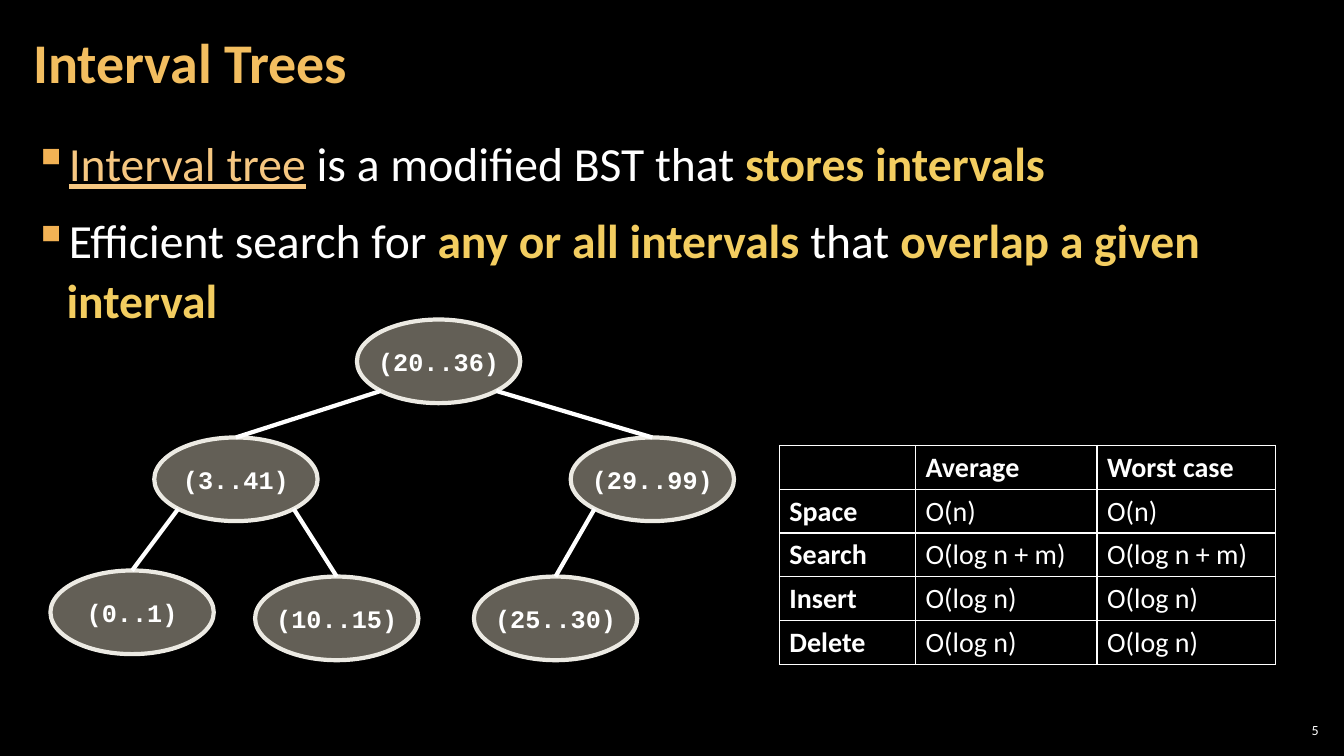
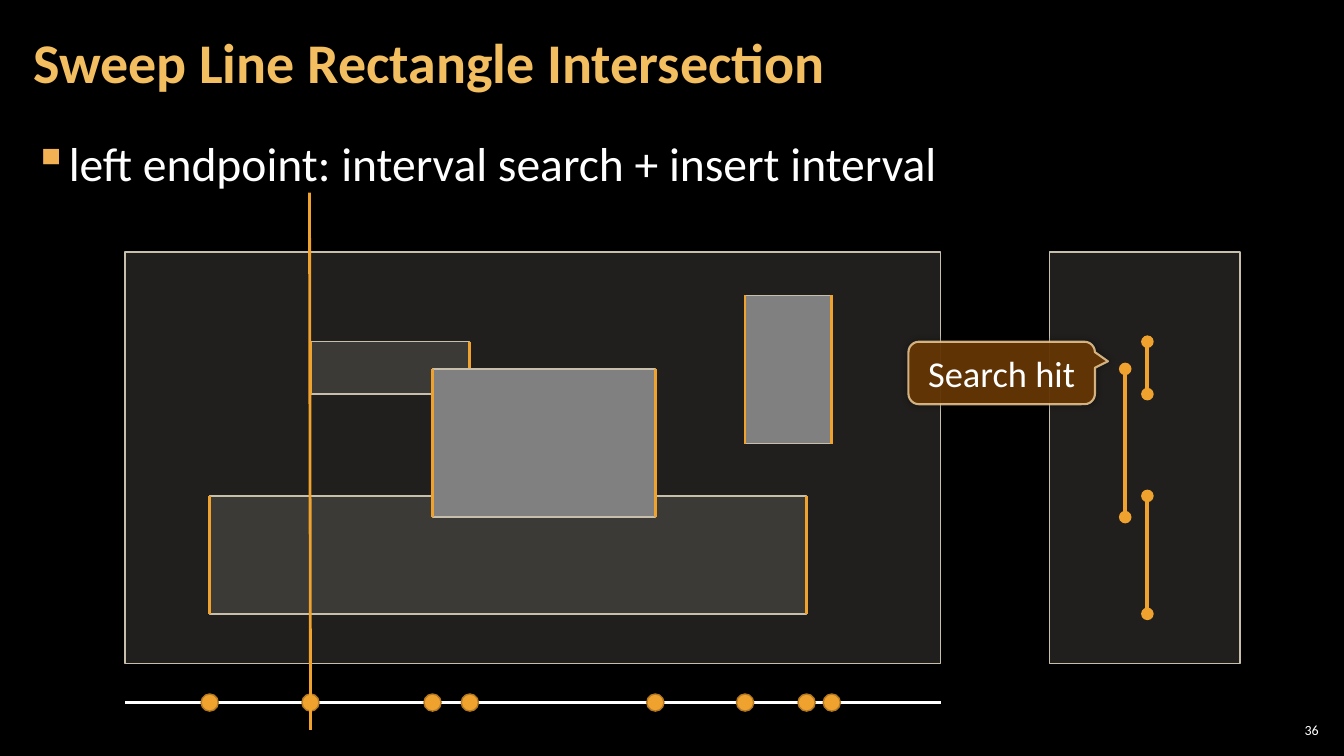
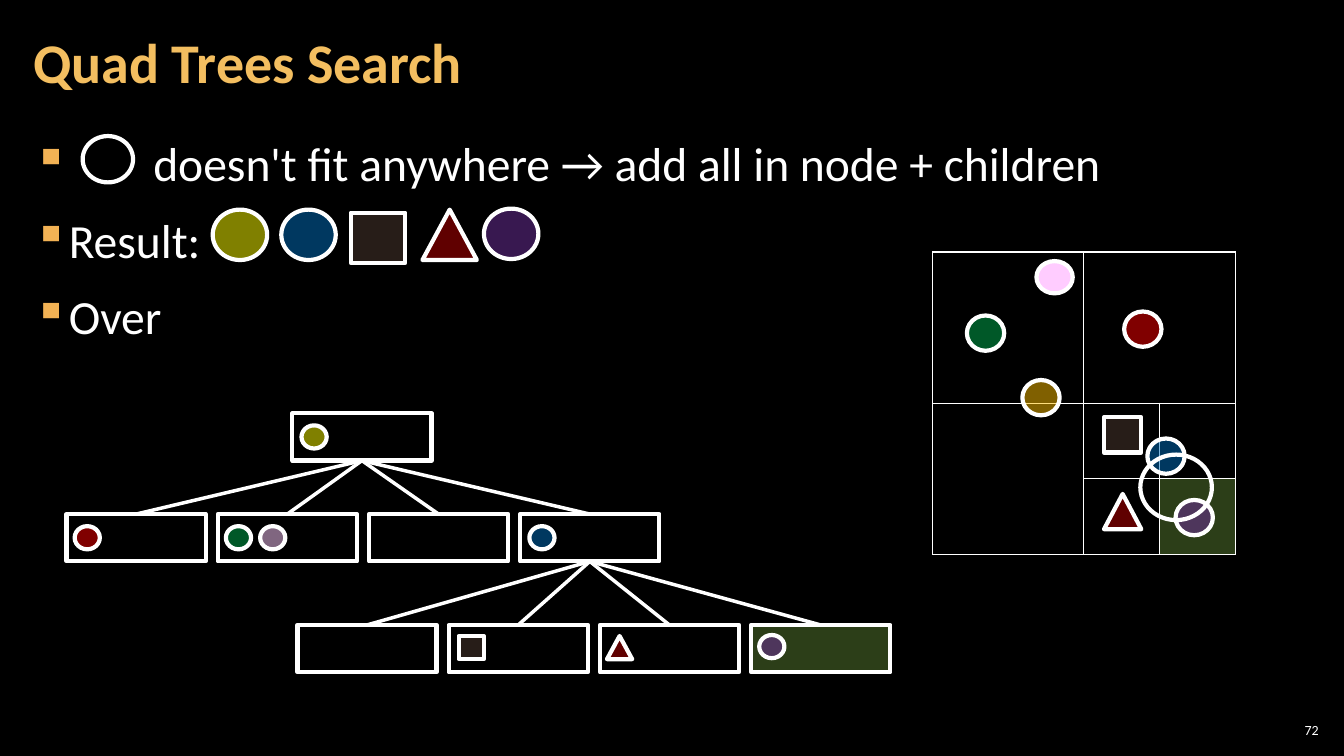
from math import sqrt

from lxml.etree import SubElement
from pptx import Presentation
from pptx.dml.color import RGBColor
from pptx.enum.shapes import MSO_CONNECTOR, MSO_SHAPE
from pptx.enum.text import MSO_ANCHOR, PP_ALIGN
from pptx.oxml.ns import qn
from pptx.util import Inches, Pt

# Shared look
WHITE, ORANGE, SAND = "FFFFFF", "F0A22E", "C7BFAC"
LINE, RECT, OVAL = MSO_CONNECTOR.STRAIGHT, MSO_SHAPE.RECTANGLE, MSO_SHAPE.OVAL
STYLES = {
    "title": ("F3BE60", {"size": Pt(40), "bold": True}),
    "body": (WHITE, {"size": Pt(34)}),
    "strong": ("F3CD60", {"size": Pt(34), "bold": True}),
    "link": ("F6C781", {"size": Pt(34), "underline": True}),
    "number": (WHITE, {"size": Pt(10)}),
    "head": (WHITE, {"size": Pt(20), "bold": True}),
    "cell": (WHITE, {"size": Pt(20)}),
    "node": (WHITE, {"size": Pt(18), "bold": True, "name": "Courier New"}),
    "callout": (WHITE, {"size": Pt(26)}),
}
BOXES = {
    "number": ((12.65, 7.14, 0.47, 0.21), 0.04, MSO_ANCHOR.MIDDLE,
               {"alignment": PP_ALIGN.RIGHT}),
    "body": ((0.21, 1.26, 12.91, 6.09), 0.12, MSO_ANCHOR.TOP,
             {"line_spacing": 1.05, "space_after": Pt(6)}),
    "title": ((0.21, 0.04, 10.47, 1.21), 0.12, MSO_ANCHOR.MIDDLE,
              {"line_spacing": 0.9}),
}


def paint(fill, colour, owner=None, alpha=100):
    """Solid colour; owner is the XML element that holds the fill."""
    fill.solid()
    fill.fore_color.rgb = RGBColor.from_string(colour)
    if alpha < 100:
        tint = owner.find(f"{qn('a:solidFill')}/{qn('a:srgbClr')}")
        SubElement(tint, qn("a:alpha"), val=str(alpha * 1000))


def draw(page, kind, at, fill=None, alpha=100, line=WHITE, width=3):
    """Shape at (left, top, width, height) or line from (x, y) to (x, y)."""
    lengths = [Inches(value) for value in at]
    if kind is LINE:
        item = page.shapes.add_connector(kind, *lengths)
        SubElement(item.element.spPr, qn("a:effectLst"))
    else:
        item = page.shapes.add_shape(kind, *lengths)
        item.shadow.inherit = False
        if fill:
            paint(item.fill, fill, item.element.spPr, alpha)
        else:
            item.fill.background()
    paint(item.line.fill, line)
    item.line.width = Pt(width)
    return item


deck = Presentation()
deck.slide_width, deck.slide_height = Inches(13.33), Inches(7.5)
texts = []  # (paragraph, wording, style), written at the end

# Pages: title, number, bullets as (indent, runs)
CONTENT = [
    ("Interval Trees", "5", [
        (0.33, [("Interval tree", "link"), (" is a modified BST that ", "body"),
                ("stores intervals", "strong")]),
        (0.33, [("Efficient search for ", "body"), ("any or all intervals", "strong"),
                (" that ", "body"), ("overlap a given interval", "strong")])]),
    ("Sweep Line Rectangle Intersection", "36", [
        (0.33, [("left endpoint: interval search + insert interval", "body")])]),
    ("Quad Trees Search", "72", [
        (1.19, [("doesn't fit anywhere → add all in node + children", "body")]),
        (0.33, [("Result:", "body")]),
        (0.33, [("Over", "body")])]),
]
for title, number, bullets in CONTENT:
    page = deck.slides.add_slide(deck.slide_layouts[6])
    paint(page.background.fill, "000000")
    entries = {"number": [(0, [(number, "number")])], "body": bullets,
               "title": [(0, [(title, "title")])]}
    for role, (at, side, anchor, layout) in BOXES.items():
        frame = page.shapes.add_textbox(*map(Inches, at)).text_frame
        settings = {"word_wrap": True, "vertical_anchor": anchor,
                    "margin_left": Inches(side), "margin_right": Inches(side),
                    "margin_top": Inches(0.04), "margin_bottom": Inches(0.04)}
        for name, value in settings.items():
            setattr(frame, name, value)
        for index, (indent, runs) in enumerate(entries[role]):
            para = frame.add_paragraph() if index else frame.paragraphs[0]
            for name, value in layout.items():
                setattr(para, name, value)
            if role == "body":
                if index:
                    para.space_before = Pt(6)
                props = para._p.get_or_add_pPr()
                props.set("marL", str(Inches(indent)))
                props.set("indent", str(-Inches(indent)))
                bullet_colour = SubElement(props, qn("a:buClr"))
                SubElement(bullet_colour, qn("a:srgbClr"), val="F2B254")
                SubElement(props, qn("a:buChar"), char="▪")
            texts += [(para, wording, style) for wording, style in runs]
tree_page, sweep_page, quad_page = deck.slides

# Tables: cost of operations, and the quadrant grid
COSTS = [["", "Average", "Worst case"]] + [
    [name, cost, cost] for name, cost in [
        ("Space", "O(n)"), ("Search", "O(log n + m)"),
        ("Insert", "O(log n)"), ("Delete", "O(log n)")]]
TABLES = [
    (tree_page, (7.73, 4.42), [1.35, 1.8, 1.77], [0.41] * 5, COSTS, [], None),
    (quad_page, (9.25, 2.5), [1.5, 0.75, 0.75], [1.5, 0.75, 0.75], [[""] * 3] * 3,
     [((0, 1), (0, 2)), ((1, 0), (2, 0))], (2, 2)),
]
for page, (left, top), widths, heights, rows, merges, marked in TABLES:
    frame = page.shapes.add_table(
        len(heights), len(widths), Inches(left), Inches(top),
        Inches(sum(widths)), Inches(sum(heights)))
    table = frame.table
    table.first_row = table.horz_banding = False
    for column, width in zip(table.columns, widths):
        column.width = Inches(width)
    for row, height in zip(table.rows, heights):
        row.height = Inches(height)
    for first, last in merges:
        table.cell(*first).merge(table.cell(*last))
    for index, (cell, element) in enumerate(
            zip(table.iter_cells(), frame.element.iter(qn("a:tc")))):
        row, column = divmod(index, len(widths))
        props = element.get_or_add_tcPr()
        for edge in ("a:lnL", "a:lnR", "a:lnT", "a:lnB"):
            border = SubElement(props, qn(edge), w=str(Pt(1)))
            solid = SubElement(border, qn("a:solidFill"))
            SubElement(solid, qn("a:srgbClr"), val=WHITE)
        if (row, column) == marked:
            paint(cell.fill, "92D050", props, 30)
        else:
            cell.fill.background()
        if rows[row][column]:
            style = "cell" if row and column else "head"
            texts.append((cell.text_frame.paragraphs[0], rows[row][column], style))

# Interval tree: nodes, then edges from the parent's lower diagonal points
NODE_WIDTH, NODE_HEIGHT = 1.62, 0.83
NODES = {"(20..36)": (3.54, 3.17), "(29..99)": (5.66, 4.34), "(3..41)": (1.53, 4.34),
         "(0..1)": (0.5, 5.66), "(10..15)": (2.53, 5.72), "(25..30)": (4.7, 5.72)}
EDGES = [("(3..41)", "(0..1)"), ("(3..41)", "(10..15)"), ("(29..99)", "(25..30)"),
         ("(20..36)", "(3..41)"), ("(20..36)", "(29..99)")]
for label, corner in NODES.items():
    node = draw(tree_page, OVAL, (*corner, NODE_WIDTH, NODE_HEIGHT), SAND, 50, "ECEAE3")
    node.text_frame.word_wrap = False
    texts.append((node.text_frame.paragraphs[0], label, "node"))
for parent, child in EDGES:
    (parent_left, parent_top), (child_left, child_top) = NODES[parent], NODES[child]
    side = 1 if child_left > parent_left else -1
    start_x = parent_left + NODE_WIDTH / 2 * (1 + side / sqrt(2))
    start_y = parent_top + NODE_HEIGHT / 2 * (1 + 1 / sqrt(2))
    draw(tree_page, LINE, (child_left + NODE_WIDTH / 2, child_top, start_x, start_y))

# Sweep line: plane, rectangles with their vertical edges, axis with events
AXIS = 6.97
DOT = 0.17
RECTANGLES = [  # left, top, width, height, fill, alpha, x in the status panel
    (2.08, 4.92, 5.92, 1.17, "D9D5C7", 15, 11.38),
    (3.08, 3.39, 1.58, 0.52, "D9D5C7", 15, 11.38),
    (7.39, 2.93, 0.86, 1.47, "808080", 100, None),
    (4.29, 3.66, 2.21, 1.47, "808080", 100, 11.16),
]
draw(sweep_page, RECT, (1.24, 2.5, 8.09, 4.08), "D9D5C7", 15, SAND, 1)
for left, top, width, height, fill, alpha, status in RECTANGLES:
    draw(sweep_page, RECT, (left, top, width, height), fill, alpha, SAND, 1)
    for x in (left, left + width):
        draw(sweep_page, LINE, (x, top, x, top + height), line=ORANGE, width=2)
draw(sweep_page, LINE, (1.24, AXIS, 9.33, AXIS), width=2)
for left, top, width, height, fill, alpha, status in RECTANGLES:
    for x in (left, left + width):
        draw(sweep_page, OVAL, (x - DOT / 2, AXIS - DOT / 2, DOT, DOT),
             ORANGE, line="B27822", width=1)
draw(sweep_page, LINE, (3.07, 1.91, 3.08, 7.24), line=ORANGE, width=2)

# Status panel with the active intervals
draw(sweep_page, RECT, (10.41, 2.5, 1.89, 4.08), "D9D5C7", 15, SAND, 1)
for left, top, width, height, fill, alpha, status in RECTANGLES:
    if status:
        interval = draw(sweep_page, LINE, (status, top, status, top + height), line=ORANGE)
        for end in ("a:headEnd", "a:tailEnd"):
            SubElement(interval.element.spPr.find(qn("a:ln")), qn(end), type="oval")

# Callout
callout = draw(sweep_page, MSO_SHAPE.ROUNDED_RECTANGULAR_CALLOUT,
               (9.01, 3.39, 1.85, 0.62), "663606", 95, "F8D49E", 1.5)
for index, value in enumerate((0.57, -0.186, 0.167)):
    callout.adjustments[index] = value
props = callout.element.spPr
paint(callout.line.fill, "F8D49E", props.find(qn("a:ln")), 80)
shadow = SubElement(props.find(qn("a:effectLst")), qn("a:outerShdw"), blurRad=str(Pt(5)))
shade = SubElement(shadow, qn("a:srgbClr"), val="000000")
SubElement(shade, qn("a:alpha"), val="40000")
texts.append((callout.text_frame.paragraphs[0], "Search hit", "callout"))

# Quad tree: root and two levels of four children
BOX_WIDTH, BOX_HEIGHT, STEP = 1.38, 0.47, 1.5
ROOT = (2.9, 4.1)
LEVELS = [(ROOT, 0.66, 5.1), ((5.16, 5.1), 2.95, 6.2)]  # parent, first left, top
draw(quad_page, RECT, (*ROOT, BOX_WIDTH, BOX_HEIGHT))
for (parent_left, parent_top), first, top in LEVELS:
    for index in range(4):
        left = first + index * STEP
        found = parent_left != ROOT[0] and index == 3
        draw(quad_page, RECT, (left, top, BOX_WIDTH, BOX_HEIGHT),
             "92D050" if found else None, 30)
        draw(quad_page, LINE, (left + BOX_WIDTH / 2, top, parent_left + BOX_WIDTH / 2,
                               parent_top + BOX_HEIGHT), width=2.5)

# Stored objects: in the tree, on the grid, in the result
OBJECTS = {
    "yellow": (OVAL, "FFFF00"), "red": (OVAL, "FF0000"), "green": (OVAL, "00B050"),
    "blue": (OVAL, "0070C0"), "amber": (OVAL, "FFC000"), "purple": (OVAL, "7030A0"),
    "pink": (OVAL, "FFCCFF"), "square": (RECT, "4E3B30"),
    "triangle": (MSO_SHAPE.ISOSCELES_TRIANGLE, "C00000"),
}
PLACES = [
    ((0.25, 0.23), {"yellow": (2.99, 4.22), "red": (0.74, 5.22), "green": (2.24, 5.22),
                    "pink": (2.58, 5.22), "blue": (5.25, 5.22), "square": (4.55, 6.31),
                    "triangle": (6.02, 6.31), "purple": (7.53, 6.3)}),
    ((0.37, 0.35), {"green": (9.59, 3.13), "red": (11.15, 3.09), "blue": (11.38, 4.35),
                    "amber": (10.14, 3.77), "square": (10.95, 4.14),
                    "triangle": (10.95, 4.9), "purple": (11.66, 4.96)}),
    ((0.54, 0.5), {"yellow": (2.11, 2.08), "blue": (2.79, 2.08), "square": (3.48, 2.11),
                   "triangle": (4.19, 2.08), "purple": (4.8, 2.07)}),
]
for size, corners in PLACES:
    for name, corner in corners.items():
        kind, colour = OBJECTS[name]
        draw(quad_page, kind, (*corner, *size), colour, 50)
draw(quad_page, OVAL, (10.28, 2.59, 0.36, 0.32), "FFCCFF")

# Query circle, beside the text and on the grid
for at in [(0.82, 1.35, 0.5, 0.46), (11.31, 4.51, 0.71, 0.65)]:
    draw(quad_page, OVAL, at)

# Wording
for para, wording, style in texts:
    span = para.add_run()
    span.text = wording
    colour, formats = STYLES[style]
    for name, value in {"name": "Calibri", **formats}.items():
        setattr(span.font, name, value)
    paint(span.font.fill, colour)

deck.save("out.pptx")
